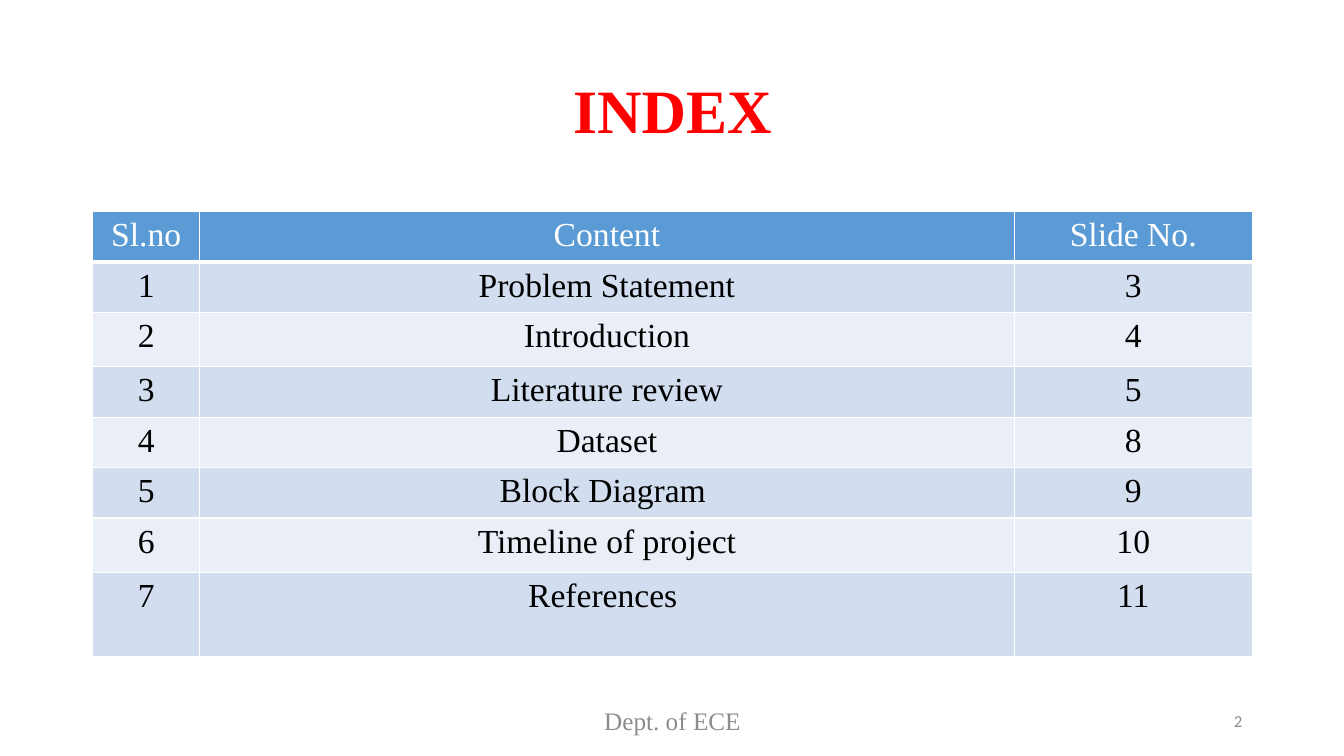
"""Build the index slide with its table of contents."""
from lxml import etree
from pptx import Presentation
from pptx.dml.color import RGBColor
from pptx.enum.text import MSO_ANCHOR, PP_ALIGN
from pptx.oxml.ns import qn
from pptx.util import Inches, Pt

CENTER, RIGHT = PP_ALIGN.CENTER, PP_ALIGN.RIGHT
MIDDLE = MSO_ANCHOR.MIDDLE
SERIF = "Times New Roman"
TITLE_ONLY = 5

ROWS = [
    ("Sl.no", "Content", "Slide No."),
    ("1", "Problem Statement", "3"),
    ("2", "Introduction", "4"),
    ("3", "Literature review", "5"),
    ("4", "Dataset", "8"),
    ("5", "Block Diagram ", "9"),
    ("6", "Timeline of project", "10"),
    ("7", "References ", "11"),
]
COLUMN_WIDTHS = [1.06, 8.08, 2.36]
ROW_HEIGHTS = [0.5, 0.5, 0.54, 0.5, 0.5, 0.5, 0.54, 0.83]


def write(text_frame, text, size, color, font=SERIF, align=CENTER, bold=False):
    """Fill the first paragraph with one formatted run."""
    paragraph = text_frame.paragraphs[0]
    paragraph.alignment = align
    run = paragraph.add_run()
    run.text = text
    run.font.size = Pt(size)
    run.font.name = font
    run.font.bold = bold
    run.font.color.rgb = RGBColor.from_string(color)
    return paragraph


def add_border(cell, side, points):
    """Draw a white border on one side of a cell."""
    properties = cell._tc.get_or_add_tcPr()
    line = etree.SubElement(properties, qn(f"a:ln{side}"), w=str(Pt(points)))
    fill = etree.SubElement(line, qn("a:solidFill"))
    etree.SubElement(fill, qn("a:srgbClr"), val="FFFFFF")


presentation = Presentation()
presentation.slide_width = Inches(13.33)
presentation.slide_height = Inches(7.5)
slide = presentation.slides.add_slide(presentation.slide_layouts[TITLE_ONLY])

title = slide.shapes.title
title.left, title.top = Inches(0.92), Inches(0.4)
title.width, title.height = Inches(11.5), Inches(1.45)
title.text_frame.vertical_anchor = MIDDLE
heading = write(title.text_frame, "INDEX", 44, "FF0000", bold=True)
heading.line_spacing = 0.9

table = slide.shapes.add_table(
    len(ROWS), len(COLUMN_WIDTHS), Inches(0.92), Inches(2.1),
    Inches(sum(COLUMN_WIDTHS)), Inches(sum(ROW_HEIGHTS))).table
for column, width in zip(table.columns, COLUMN_WIDTHS):
    column.width = Inches(width)
for row, height in zip(table.rows, ROW_HEIGHTS):
    row.height = Inches(height)

for row_index, texts in enumerate(ROWS):
    is_header = row_index == 0
    band = "D2DEEF" if row_index % 2 else "EAEFF7"
    for column_index, text in enumerate(texts):
        cell = table.cell(row_index, column_index)
        cell.margin_left = cell.margin_right = Inches(0.08)
        cell.margin_top = cell.margin_bottom = Inches(0.05)
        add_border(cell, "L", 1)
        add_border(cell, "R", 1)
        add_border(cell, "T", 3 if row_index == 1 else 1)
        add_border(cell, "B", 3 if is_header else 1)
        cell.fill.solid()
        cell.fill.fore_color.rgb = RGBColor.from_string("5B9BD5" if is_header else band)
        write(cell.text_frame, text, 24, "FFFFFF" if is_header else "000000")

for left, width, text, size, font, align in [
    (4.42, 4.5, "Dept. of ECE", 18, SERIF, CENTER),
    (9.42, 3, "2", 12, "Calibri", RIGHT),
]:
    footer = slide.shapes.add_textbox(Inches(left), Inches(6.95), Inches(width), Inches(0.4))
    footer.text_frame.word_wrap = True
    footer.text_frame.vertical_anchor = MIDDLE
    write(footer.text_frame, text, size, "8C8C8C", font, align)

presentation.save("out.pptx")
